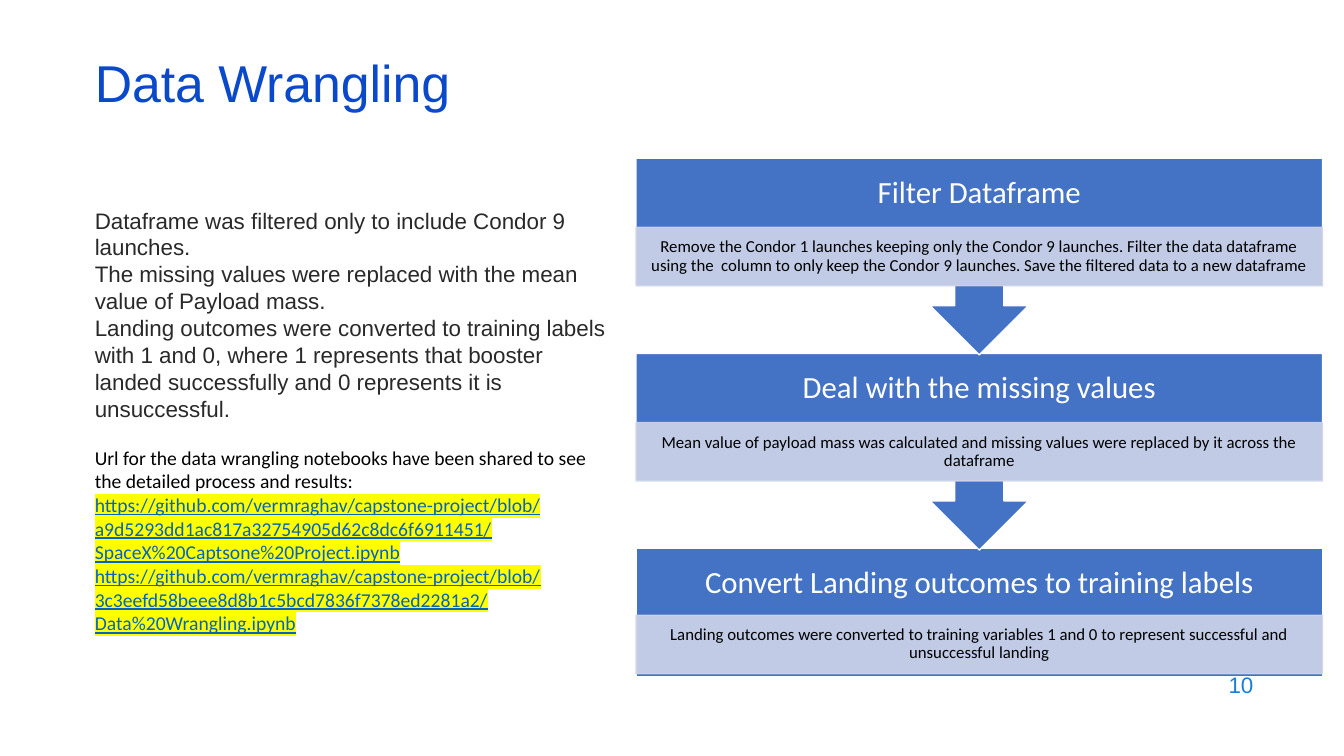
from pptx import Presentation
from pptx.dml.color import RGBColor
from pptx.enum.shapes import MSO_SHAPE
from pptx.enum.text import MSO_ANCHOR, MSO_AUTO_SIZE, PP_ALIGN
from pptx.oxml.ns import qn
from pptx.oxml.xmlchemy import OxmlElement
from pptx.util import Inches, Pt

COLS, ROWS = 80, 45

NOTES = [
    "Dataframe was filtered only to include Condor 9 launches.",
    "The missing values were replaced with the mean value of Payload mass.",
    "Landing outcomes were converted to training labels with 1 and 0, where 1 "
    "represents that booster landed successfully and 0 represents it is unsuccessful.",
]
INTRO = ("Url for the data wrangling notebooks have been shared to see "
         "the detailed process and results:")
REPO = "https://github.com/vermraghav/capstone-project/blob/"
LINKS = [
    REPO + "a9d5293dd1ac817a32754905d62c8dc6f6911451/SpaceX%20Captsone%20Project.ipynb",
    REPO + "3c3eefd58beee8d8b1c5bcd7836f7378ed2281a2/Data%20Wrangling.ipynb",
]
STEPS = [
    ("Filter Dataframe",
     "Remove the Condor 1 launches keeping only the Condor 9 launches. Filter the data "
     "dataframe using the  column to only keep the Condor 9 launches. "
     "Save the filtered data to a new dataframe"),
    ("Deal with the missing values",
     "Mean value of payload mass was calculated and missing values were "
     "replaced by it across the dataframe"),
    ("Convert Landing outcomes to training labels",
     "Landing outcomes were converted to training variables 1 and 0 to "
     "represent successful and unsuccessful landing"),
]


def color(text):
    return RGBColor.from_string(text)


class Deck:
    head, body = "Arial", "Calibri"
    blue, pale, white, black = "4472C4", "CFD5EA", "FFFFFF", "000000"

    def __init__(self):
        self.prs = Presentation()
        self.prs.slide_width = Inches(13.33)
        self.prs.slide_height = Inches(7.5)
        self.slide = self.prs.slides.add_slide(self.prs.slide_layouts[1])

    def area(self, col, row, wide, high):
        x = self.prs.slide_width / COLS
        y = self.prs.slide_height / ROWS
        return int(col * x), int(row * y), int(wide * x), int(high * y)

    def place(self, shape, cells):
        shape.left, shape.top, shape.width, shape.height = self.area(*cells)

    def frame(self, shape, anchor=MSO_ANCHOR.MIDDLE, inset=(0.1, 0.05)):
        frame = shape.text_frame
        frame.word_wrap = True
        frame.auto_size = MSO_AUTO_SIZE.NONE
        frame.vertical_anchor = anchor
        frame.margin_left = frame.margin_right = Inches(inset[0])
        frame.margin_top = frame.margin_bottom = Inches(inset[1])
        return frame

    def style(self, para, font, size, tone, align=PP_ALIGN.LEFT, lead=0.9):
        para.alignment = align
        para.line_spacing = lead
        para.space_before = Pt(0)
        for run in para.runs:
            run.font.name = font
            run.font.size = Pt(size)
            run.font.color.rgb = color(tone)

    def title(self, text, cells):
        shape = self.slide.shapes.title
        self.place(shape, cells)
        frame = self.frame(shape)
        frame.text = text
        self.style(frame.paragraphs[0], self.head, 37, "0B49CB", lead=0.7)

    def mark(self, run):
        """Underline a run and highlight it in yellow."""
        run.font.underline = True
        light = OxmlElement("a:highlight")
        tint = OxmlElement("a:srgbClr")
        tint.set("val", "FFFF00")
        light.append(tint)
        run.font._element.find(qn("a:solidFill")).addnext(light)

    def notes(self, cells):
        shape = self.slide.placeholders[1]
        self.place(shape, cells)
        frame = self.frame(shape, MSO_ANCHOR.TOP)
        frame.text = "\n".join(NOTES + [INTRO] + LINKS)
        for i, para in enumerate(frame.paragraphs):
            props = para._p.get_or_add_pPr()
            props.set("marL", "0")
            props.set("indent", "0")
            props.append(OxmlElement("a:buNone"))
            if i < len(NOTES):
                self.style(para, self.head, 16, "292929", lead=Pt(19.2))
            elif i == len(NOTES):
                self.style(para, self.body, 14, self.black, lead=Pt(16.9))
                para.space_before = Pt(17)
            else:
                self.style(para, self.body, 14, "0563C1", lead=Pt(16.9))
                self.mark(para.runs[0])

    def label(self, text, cells, font, size, tone, align, inset=(0.1, 0.05)):
        shape = self.slide.shapes.add_textbox(*self.area(*cells))
        frame = self.frame(shape, inset=inset)
        frame.text = text
        self.style(frame.paragraphs[0], font, size, tone, align)

    def block(self, kind, cells, fill, line, alpha=None):
        shape = self.slide.shapes.add_shape(kind, *self.area(*cells))
        shape.shadow.inherit = False
        shape.fill.solid()
        shape.fill.fore_color.rgb = color(fill)
        shape.line.color.rgb = color(line)
        shape.line.width = Pt(1)
        if alpha:
            for tint in list(shape._element.iter(qn("a:srgbClr"))):
                fade = OxmlElement("a:alpha")
                fade.set("val", str(alpha * 1000))
                tint.append(fade)
        return shape

    def step(self, head, text, col, row, wide, last):
        # Blue block, pointing down unless it is the last one
        kind = MSO_SHAPE.RECTANGLE if last else MSO_SHAPE.UP_ARROW_CALLOUT
        high, drop = (7.62, 3.96) if last else (11.7, 4.11)
        base = self.block(kind, (col, row, wide, high), self.blue, self.white)
        base.rotation = 0 if last else 180
        self.label(head, (col, row, wide, 4.14), self.body, 22, self.white,
                   PP_ALIGN.CENTER, (0.17, 0.17))
        # Pale strip with the details
        strip = self.block(MSO_SHAPE.RECTANGLE, (col, row + drop, wide, 3.48),
                           self.pale, self.pale, 90)
        frame = self.frame(strip, inset=(0.09, 0.02))
        frame.text = text
        self.style(frame.paragraphs[0], self.body, 12, self.black, PP_ALIGN.CENTER)

    def flow(self, col, row, wide, pitch):
        # Drawn from the bottom up, so each arrow tip lies on the next block
        for i in reversed(range(len(STEPS))):
            self.step(*STEPS[i], col, row + i * pitch, wide, i == len(STEPS) - 1)


def main():
    deck = Deck()
    # Page number
    deck.label("10", (57.2, 39.54, 18, 2.64), deck.head, 16, "1C7DDB", PP_ALIGN.RIGHT)
    # Title and notes
    deck.title("Data Wrangling", (5.04, 3.54, 69, 3.6))
    deck.notes((5.04, 12, 31.86, 27.54))
    # Process on the right
    deck.flow(37.86, 9.42, 40.86, 11.62)
    deck.prs.save("out.pptx")


if __name__ == "__main__":
    main()
